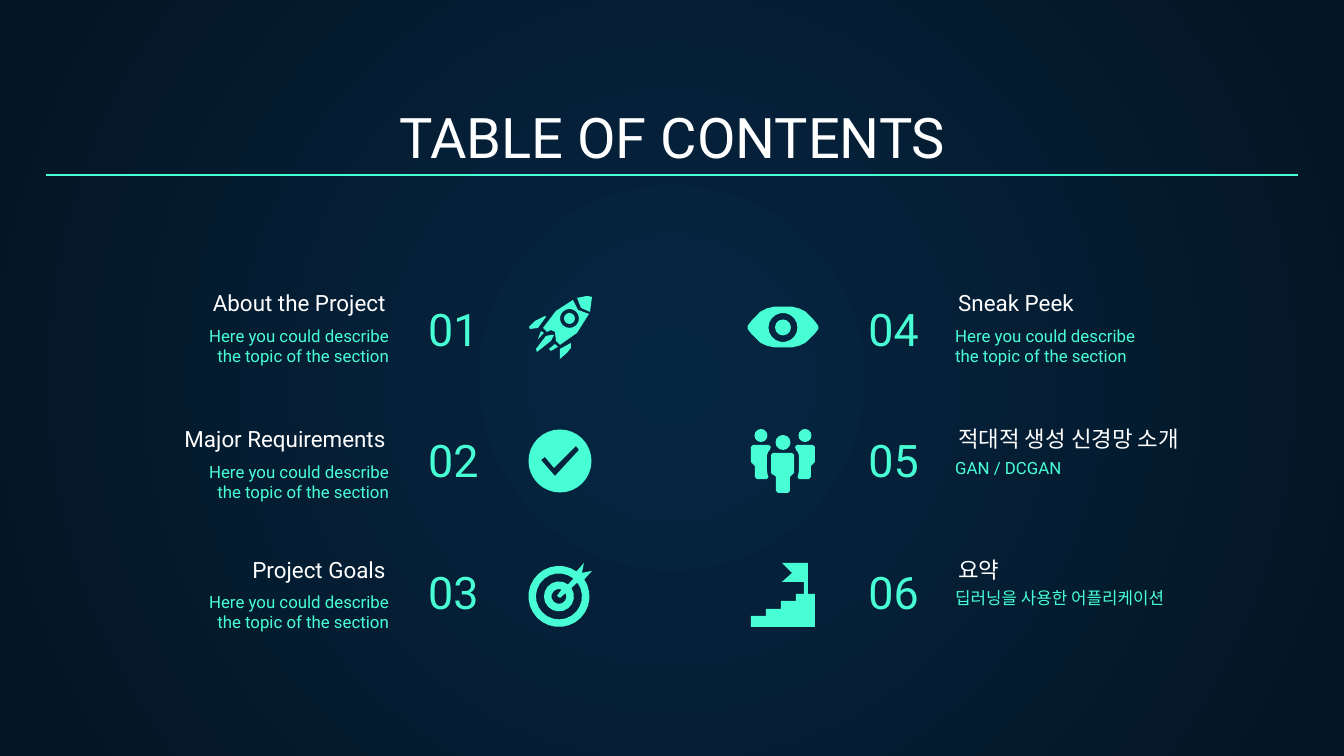
"""Builds a table of contents slide with six numbered sections and icons."""
from math import cos, dist, radians, sin

from lxml.etree import SubElement
from pptx import Presentation
from pptx.dml.color import RGBColor
from pptx.enum.shapes import MSO_CONNECTOR, MSO_SHAPE
from pptx.enum.text import MSO_ANCHOR, PP_ALIGN
from pptx.oxml.ns import qn
from pptx.util import Emu, Inches, Pt

PX = 914400 / 134.4
FONT = "Roboto"
COLORS = {"accent": "48FFD5", "title": "FFFFFF", "center": "052643", "edge": "041523"}
LEFT, CENTER, RIGHT = PP_ALIGN.LEFT, PP_ALIGN.CENTER, PP_ALIGN.RIGHT
HEADING_TOPS = (301, 437, 568)
BODY_TOPS = (312, 448, 578)
NUMBER_TOPS = (280, 411, 543)
TOPIC = ["Here you could describe", "the topic of the section"]
COLUMNS = [
    {"align": RIGHT, "number_align": LEFT, "heading": (94, 305), "body": (106, 296), "number": 415,
     "sections": [("01", "About the Project", TOPIC),
                  ("02", "Major Requirements", TOPIC),
                  ("03", "Project Goals", TOPIC)]},
    {"align": LEFT, "number_align": RIGHT, "heading": (945, 305), "body": (942, 278), "number": 759,
     "sections": [("04", "Sneak Peek", TOPIC),
                  ("05", "적대적 생성 신경망 소개", ["GAN / DCGAN"]),
                  ("06", "요약", ["딥러닝을 사용한 어플리케이션"])]},
]


def px(n):
    return Emu(round(n * PX))


def rgb(name):
    return RGBColor.from_string(COLORS[name])


def paint_background(s):
    fill = s.background.fill
    fill.gradient()
    for stop, position, name in zip(fill.gradient_stops, (0, 1), ("center", "edge")):
        stop.position = position
        stop.color.rgb = rgb(name)
    grad = next(s.element.iter(qn("a:gradFill")))
    for lin in grad.findall(qn("a:lin")):
        grad.remove(lin)
    circle = SubElement(grad, qn("a:path"), path="circle")
    SubElement(circle, qn("a:fillToRect"), l="50000", t="50000", r="50000", b="50000")


def add_text(s, box, lines, size, color, align, anchor=MSO_ANCHOR.BOTTOM):
    tf = s.shapes.add_textbox(*map(px, box)).text_frame
    tf.word_wrap = True
    tf.vertical_anchor = anchor
    tf.margin_left = tf.margin_top = tf.margin_right = tf.margin_bottom = Inches(0.1)
    for i, line in enumerate(lines):
        p = tf.paragraphs[0] if i == 0 else tf.add_paragraph()
        p.alignment = align
        r = p.add_run()
        r.text = line
        r.font.size = Pt(size)
        r.font.name = FONT
        r.font.color.rgb = rgb(color)


def add_rule(s, x1, x2, y):
    line = s.shapes.add_connector(MSO_CONNECTOR.STRAIGHT, px(x1), px(y), px(x2), px(y))
    line.line.color.rgb = rgb("accent")
    line.line.width = Pt(0.75)
    SubElement(line.element.spPr, qn("a:effectLst"))


def add_section(s, column, row):
    number, heading, lines = column["sections"][row]
    x, width = column["heading"]
    add_text(s, (x, HEADING_TOPS[row], width, 28), [heading], 12, "title", column["align"])
    x, width = column["body"]
    add_text(s, (x, BODY_TOPS[row], width, 74), lines, 9, "accent", column["align"], MSO_ANCHOR.TOP)
    add_text(s, (column["number"], NUMBER_TOPS[row], 173, 89), [number], 24, "accent",
             column["number_align"])


def arc(cx, cy, radius, steps, start=0, end=360):
    angles = [radians(start + (end - start) * i / steps) for i in range(steps + 1)]
    return [(cx + radius * cos(a), cy + radius * sin(a)) for a in angles]


def rounded(points, radius, samples):
    outline = []
    for i, corner in enumerate(points):
        ends = []
        for other in (points[i - 1], points[(i + 1) % len(points)]):
            k = min(0.5, radius / dist(corner, other))
            ends.append([c + (o - c) * k for c, o in zip(corner, other)])
        for t in samples:
            outline.append(tuple((1 - t) ** 2 * a + 2 * t * (1 - t) * c + t * t * b
                                 for a, c, b in zip(ends[0], corner, ends[1])))
    return outline


def mirrored(points, axis):
    return [(2 * axis - x, y) for x, y in points]


def paint(sp):
    sp.shadow.inherit = False
    sp.fill.solid()
    sp.fill.fore_color.rgb = rgb("accent")
    sp.line.fill.background()


def add_disc(shapes, cx, cy, radius):
    size = px(2 * radius)
    paint(shapes.add_shape(MSO_SHAPE.OVAL, px(cx - radius), px(cy - radius), size, size))


def add_outline(shapes, *contours):
    first, *holes = [[(px(x), px(y)) for x, y in contour] for contour in contours]
    builder = shapes.build_freeform(*first[0])
    builder.add_line_segments(first[1:])
    for hole in holes:
        builder.move_to(*hole[0])
        builder.add_line_segments(hole[1:])
    paint(builder.convert_to_shape())


def add_rocket(s):
    shapes = s.shapes.add_group_shape().shapes
    body = [(573, 300), (556, 311), (543, 328), (547, 332), (551, 330), (555, 332), (556, 341),
            (560, 345), (577, 333), (589, 314), (578, 310)]
    nose = [(577, 298), (587, 296), (592, 297), (590, 312), (581, 308)]
    left_fin = [(545, 316), (535, 321), (529, 327), (530, 329), (538, 328), (546, 317)]
    right_fin = [(571, 343), (560, 349), (560, 359), (567, 353), (571, 348)]
    flame = [(551, 335), (546, 336), (536, 349), (537, 352), (551, 341), (554, 335)]
    left_spark = [(541, 331), (538, 339), (544, 333)]
    right_spark = [(555, 344), (549, 349), (551, 351), (558, 347)]
    add_outline(shapes, body, arc(569.5, 318.5, 9.5, 16))
    add_disc(shapes, 569.5, 318.5, 5.5)
    for part in (nose, left_fin, right_fin, flame, left_spark, right_spark):
        add_outline(shapes, part)


def add_check(s):
    tick = [(576, 446), (579, 450), (555, 476), (541, 460), (545, 457), (554, 468)]
    add_outline(s.shapes, arc(560, 461, 31.5, 32), tick)


def add_target(s):
    x, y = 559, 596.5
    rim = arc(x, y, 30.5, 26, -55, -394) + [(592, 571), (582, 573), (584, 563)]
    band = arc(x, y, 23, 22, -51, -397) + arc(x, y, 15, 16, -394, -53)
    bull = arc(x, y, 7.5, 10, -69, -387) + [(560, 598), (557, 596)]
    add_outline(s.shapes, rim, band, bull)


def add_eye(s):
    lid = [(747, 326), (764, 306), (802, 306), (819, 326), (819, 329), (802, 348), (764, 348), (747, 329)]
    add_outline(s.shapes, rounded(lid, 30, (0.25, 0.5, 0.75)), arc(783, 327.5, 14.5, 18))
    add_disc(s.shapes, 783, 327.5, 8)


def add_people(s):
    shapes = s.shapes.add_group_shape().shapes
    side = [(751, 445), (771, 445), (771, 449), (767, 453), (767, 472), (769, 479), (755, 479),
            (755, 464), (751, 464)]
    front = [(771, 453), (794, 453), (794, 475), (790, 475), (790, 493), (776, 493), (776, 475), (771, 475)]
    for body in (side, mirrored(side, 783), front):
        add_outline(shapes, rounded(body, 2, (0, 1)))
    for x, y, radius in ((761, 435.5, 6.5), (805, 435.5, 6.5), (783, 442.5, 7.5)):
        add_disc(shapes, x, y, radius)


def add_stairs(s):
    steps = [(804, 594), (796, 594), (796, 601), (781, 601), (781, 609), (766, 609), (766, 616), (751, 616)]
    flag = [(808, 563), (782, 563), (792, 573), (782, 582), (804, 582)]
    base = [(751, 627), (815, 627), (815, 594), (808, 594)]
    add_outline(s.shapes, flag + steps + base)


def main():
    prs = Presentation()
    prs.slide_width, prs.slide_height = px(1344), px(756)
    s = prs.slides.add_slide(prs.slide_layouts[6])
    paint_background(s)
    add_text(s, (46, 94, 1253, 89), ["TABLE OF CONTENTS"], 30, "title", CENTER)
    for column in COLUMNS:
        for row in range(3):
            add_section(s, column, row)
    for add_icon in (add_rocket, add_check, add_target, add_eye, add_people, add_stairs):
        add_icon(s)
    add_rule(s, 46, 1298, 175)
    prs.save("out.pptx")


if __name__ == "__main__":
    main()
